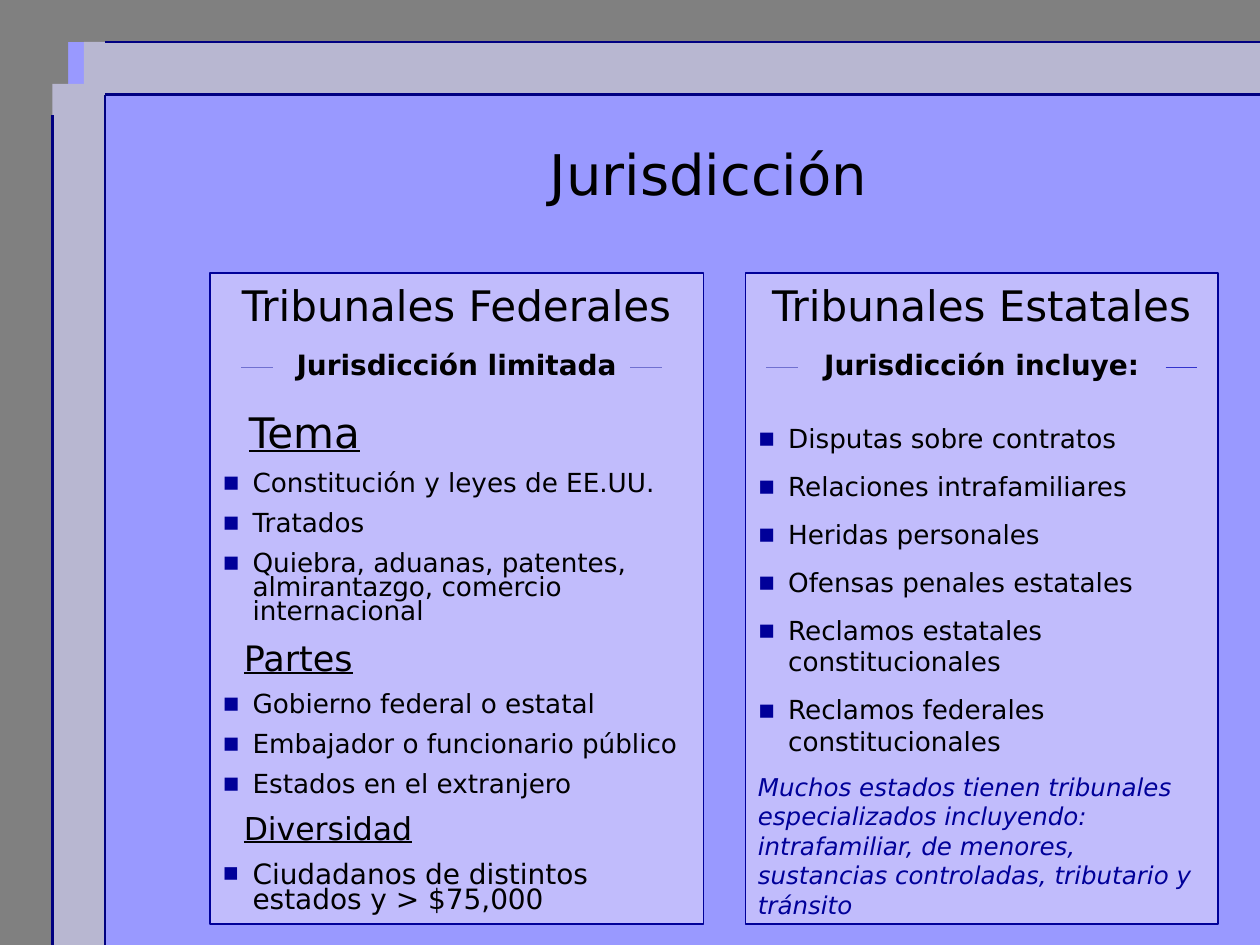
from lxml import etree
from pptx import Presentation
from pptx.dml.color import RGBColor
from pptx.enum.shapes import MSO_CONNECTOR, MSO_SHAPE
from pptx.enum.text import MSO_ANCHOR, MSO_AUTO_SIZE, PP_ALIGN
from pptx.oxml.ns import qn
from pptx.util import Inches, Pt

RECT = MSO_SHAPE.RECTANGLE
STRAIGHT = MSO_CONNECTOR.STRAIGHT
LEFT, CENTER = PP_ALIGN.LEFT, PP_ALIGN.CENTER
TOP, MIDDLE = MSO_ANCHOR.TOP, MSO_ANCHOR.MIDDLE
NO_FIT = MSO_AUTO_SIZE.NONE

COLS, ROWS = 120, 90
FONT = "DejaVu Sans"
INK, NAVY, BLUE = "000000", "000080", "000099"
GRAY, MIST, PANEL, BACK = "808080", "B8B7D1", "C1BCFC", "9999FF"
INDENT = 0.24


def rgb(value):
    """Turn a hex string into a colour."""
    return RGBColor.from_string(value)


class Deck:
    """Style, grid and current slide."""

    def __init__(self):
        """Open a presentation with one coloured title-only slide."""
        self.prs = Presentation()
        self.prs.slide_width, self.prs.slide_height = Inches(10), Inches(7.5)
        self.s = self.prs.slides.add_slide(self.prs.slide_layouts[5])
        fill = self.s.background.fill
        fill.solid()
        fill.fore_color.rgb = rgb(BACK)

    def x(self, cols):
        """Convert columns to a length."""
        return int(self.prs.slide_width * cols / COLS)

    def y(self, rows):
        """Convert rows to a length."""
        return int(self.prs.slide_height * rows / ROWS)

    def title(self, text, left, top, width, height):
        """Place and format the title."""
        sp = self.s.shapes.title
        sp.left, sp.top = self.x(left), self.y(top)
        sp.width, sp.height = self.x(width), self.y(height)
        tf = sp.text_frame
        tf.auto_size, tf.vertical_anchor = NO_FIT, MIDDLE
        self.para(tf.paragraphs[0], text, 32, align=CENTER)

    def box(self, left, top, width, height, fill, line=None):
        """Add a flat rectangle."""
        sp = self.s.shapes.add_shape(
            RECT, self.x(left), self.y(top), self.x(width), self.y(height))
        sp.shadow.inherit = False
        sp.fill.solid()
        sp.fill.fore_color.rgb = rgb(fill)
        if line:
            sp.line.color.rgb = rgb(line)
            sp.line.width = Pt(0.75)
        else:
            sp.line.fill.background()
        return sp

    def rule(self, x1, y1, x2, y2, color, width):
        """Add a straight line."""
        c = self.s.shapes.add_connector(
            STRAIGHT, self.x(x1), self.y(y1), self.x(x2), self.y(y2))
        c.line.color.rgb = rgb(color)
        c.line.width = Pt(width)
        etree.SubElement(c._element.spPr, qn("a:effectLst"))

    def para(self, p, text, size, before=0, align=LEFT, spacing=1, indent=0,
             bullet=None, color=INK, bold=False, italic=False,
             underline=False):
        """Fill one paragraph; bullet is the marker's size in percent."""
        p.alignment, p.line_spacing, p.space_before = align, spacing, Pt(before)
        pPr = p._p.get_or_add_pPr()
        pPr.set("marL", str(Inches(indent)))
        pPr.set("indent", str(-Inches(indent) if bullet else 0))
        if bullet:
            clr = etree.SubElement(pPr, qn("a:buClr"))
            etree.SubElement(clr, qn("a:srgbClr"), val=BLUE)
            etree.SubElement(pPr, qn("a:buSzPct"), val=str(bullet * 1000))
            etree.SubElement(pPr, qn("a:buFont"), typeface=FONT)
            etree.SubElement(pPr, qn("a:buChar"), char="▪")
        r = p.add_run()
        r.text = text
        r.font.name, r.font.size = FONT, Pt(size)
        r.font.color.rgb = rgb(color)
        r.font.bold, r.font.italic, r.font.underline = bold, italic, underline

    def panel(self, left, width, heading, subheading, items):
        """Add a court panel with its heading, subheading and paragraphs."""
        tf = self.box(left, 26, width, 62, PANEL, BLUE).text_frame
        tf.word_wrap, tf.vertical_anchor = True, TOP
        self.para(tf.paragraphs[0], heading, 24, align=CENTER)
        self.para(tf.add_paragraph(), subheading, 16, 10, CENTER, bold=True)
        for text, style in items:
            self.para(tf.add_paragraph(), text, **style)


def main():
    """Build the slide."""
    deck = Deck()
    deck.title("Jurisdicción", 20, 13, 95, 7)

    for left, top, width, height, fill in [
            (0, 4, 6.5, 86, GRAY), (0, 0, 120, 4, GRAY),
            (5, 8, 5, 82, MIST), (8, 4, 112, 5, MIST)]:
        deck.box(left, top, width, height, fill)
    for ends in [(120, 9, 10, 9), (10, 90, 10, 9),
                 (5, 90, 5, 11), (120, 4, 10, 4)]:
        deck.rule(*ends, NAVY, 1.5)

    item = dict(size=15, before=9.4, indent=INDENT, bullet=100)
    first = dict(item, before=23.7)
    tight = dict(item, spacing=0.75)
    last = dict(tight, size=16, before=10, bullet=90)
    topic = dict(size=24, before=15, indent=0.21, underline=True)
    parties = dict(topic, size=20, before=12.5, indent=0.17, spacing=0.75)
    diversity = dict(parties, size=18, before=11.2)
    note = dict(size=14, before=8.8, color=BLUE, italic=True)

    deck.panel(71, 45, "Tribunales Estatales", "Jurisdicción incluye:", [
        ("Disputas sobre contratos", first),
        ("Relaciones intrafamiliares", item),
        ("Heridas personales", item),
        ("Ofensas penales estatales", item),
        ("Reclamos estatales constitucionales", item),
        ("Reclamos federales constitucionales", item),
        ("Muchos estados tienen tribunales especializados incluyendo: "
         "intrafamiliar, de menores, sustancias controladas, tributario y "
         "tránsito", note)])
    deck.panel(20, 47, "Tribunales Federales", "Jurisdicción limitada", [
        ("Tema", topic),
        ("Constitución y leyes de EE.UU.", tight),
        ("Tratados", tight),
        ("Quiebra, aduanas, patentes, almirantazgo, comercio internacional",
         tight),
        ("Partes", parties),
        ("Gobierno federal o estatal", tight),
        ("Embajador o funcionario público", tight),
        ("Estados en el extranjero", tight),
        ("Diversidad", diversity),
        ("Ciudadanos de distintos estados y > $75,000", last)])

    for left, color in [(111, "3333CC"), (73, "7070D0"),
                        (60, "7070D0"), (23, "7070D0")]:
        deck.rule(left, 35, left + 3, 35, color, 0.75)

    deck.prs.save("out.pptx")


if __name__ == "__main__":
    main()
